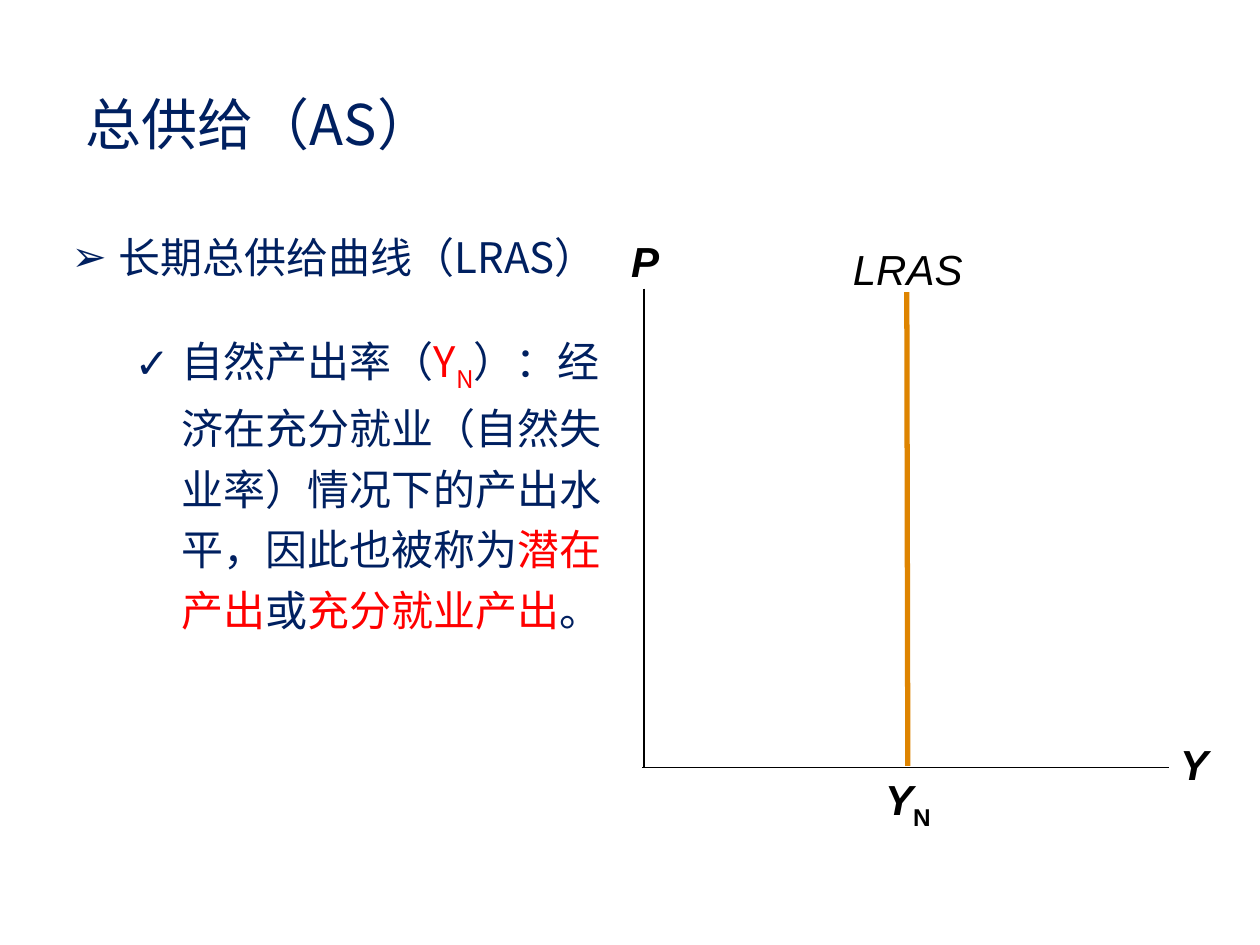
"""Build the slide on the long-run aggregate supply curve."""
from typing import NamedTuple

from pptx import Presentation, util as u
from pptx.dml.color import RGBColor
from pptx.enum import shapes, text
from pptx.oxml import xmlchemy as x

NAVY = RGBColor(0x00, 0x20, 0x60)
RED = RGBColor(0xFF, 0x00, 0x00)
BLACK = RGBColor(0x00, 0x00, 0x00)
ORANGE = RGBColor(0xDE, 0x84, 0x00)
CJK, LATIN = "Noto Sans CJK SC", "Arial"


class Run(NamedTuple):
    words: str
    color: RGBColor = NAVY
    sub: bool = False
    bold: bool = False
    italic: bool = False


class Bullet(NamedTuple):
    level: int
    mark: str
    margin: float
    runs: list[Run]


class Line(NamedTuple):
    x1: float
    y1: float
    x2: float
    y2: float
    color: RGBColor
    width: float


class Label(NamedTuple):
    box: tuple[float, float, float, float]
    runs: list[Run]
    inset: bool = True


BULLETS = [
    Bullet(0, "➢", 0.95, [Run("长期总供给曲线（LRAS）")]),
    Bullet(1, "✓", 2.22, [
        Run("自然产出率（"), Run("Y", RED), Run("N", RED, sub=True),
        Run("）：经济在充分就业（自然失业率）情况下的产出水平，因此也被称为"),
        Run("潜在产出", RED), Run("或"), Run("充分就业产出", RED), Run("。"),
    ]),
]
LINES = [
    Line(12.98, 5.82, 12.98, 15.47, BLACK, 1),
    Line(12.95, 15.47, 23.57, 15.47, BLACK, 1),
    Line(18.28, 5.89, 18.3, 15.44, ORANGE, 3),
]
LABELS = [
    Label((12.42, 4.62, 1.17, 1.27), [Run("P", BLACK, bold=True, italic=True)]),
    Label((23.44, 14.76, 1.27, 1.27), [Run("Y", BLACK, bold=True, italic=True)]),
    Label((16.66, 4.78, 3.28, 1.27), [Run("LRAS", BLACK, italic=True)]),
    Label((17.63, 15.6, 1.35, 1.02),
          [Run("Y", BLACK, bold=True, italic=True), Run("N", BLACK, sub=True, bold=True)], False),
]


def set_all(obj, values: dict) -> None:
    for name, value in values.items():
        setattr(obj, name, value)


def place(sp, box: tuple[float, float, float, float]) -> None:
    set_all(sp, dict(zip(("left", "top", "width", "height"), map(u.Cm, box))))
    set_all(sp.text_frame, {"word_wrap": True, "auto_size": text.MSO_AUTO_SIZE.NONE,
                            "vertical_anchor": text.MSO_ANCHOR.TOP})


def add_runs(p, runs: list[Run], face: str, size: float) -> None:
    for run in runs:
        r = p.add_run()
        r.text = run.words
        set_all(r.font, {"name": face, "size": u.Pt(size), "bold": run.bold, "italic": run.italic})
        r.font.color.rgb = run.color
        props = r._r.get_or_add_rPr()
        if run.sub:
            props.set("baseline", "-25000")
        props.append(x.OxmlElement("a:ea"))
        props[-1].set("typeface", face)


def add_bullet(p, bullet: Bullet) -> None:
    props = p._p.get_or_add_pPr()
    props.set("marL", str(u.Cm(bullet.margin)))
    props.set("indent", str(-u.Cm(0.95)))
    props.append(x.OxmlElement("a:buChar"))
    props[-1].set("char", bullet.mark)
    set_all(p, {"level": bullet.level, "line_spacing": 1.2, "space_after": u.Pt(12),
                "space_before": u.Pt(12 if bullet.level else 0)})
    add_runs(p, bullet.runs, CJK, 24)


def add_line(s, line: Line) -> None:
    ends = map(u.Cm, (line.x1, line.y1, line.x2, line.y2))
    sp = s.shapes.add_connector(shapes.MSO_CONNECTOR.STRAIGHT, *ends)
    sp.line.color.rgb = line.color
    sp.line.width = u.Pt(line.width)
    sp._element.spPr.append(x.OxmlElement("a:effectLst"))


def add_label(s, label: Label) -> None:
    sp = s.shapes.add_textbox(*map(u.Cm, label.box))
    place(sp, label.box)
    if not label.inset:
        set_all(sp.text_frame, dict.fromkeys(
            ("margin_left", "margin_top", "margin_right", "margin_bottom"), 0))
    p = sp.text_frame.paragraphs[0]
    p.alignment = text.PP_ALIGN.CENTER
    add_runs(p, label.runs, LATIN, 24)


def main() -> None:
    prs = Presentation()
    set_all(prs, {"slide_width": u.Cm(25.4), "slide_height": u.Cm(19.05)})
    s = prs.slides.add_slide(prs.slide_layouts[1])
    title, body = s.placeholders
    place(title, (1.47, 1.68, 7.62, 1.63))
    p = title.text_frame.paragraphs[0]
    p.alignment = text.PP_ALIGN.LEFT
    add_runs(p, [Run("总供给（AS）")], CJK, 32)

    place(body, (1.19, 4.34, 11.28, 9.73))
    tf = body.text_frame
    for i, bullet in enumerate(BULLETS):
        add_bullet(tf.add_paragraph() if i else tf.paragraphs[0], bullet)
    for line in LINES:
        add_line(s, line)
    for label in LABELS:
        add_label(s, label)
    prs.save("out.pptx")


if __name__ == "__main__":
    main()
